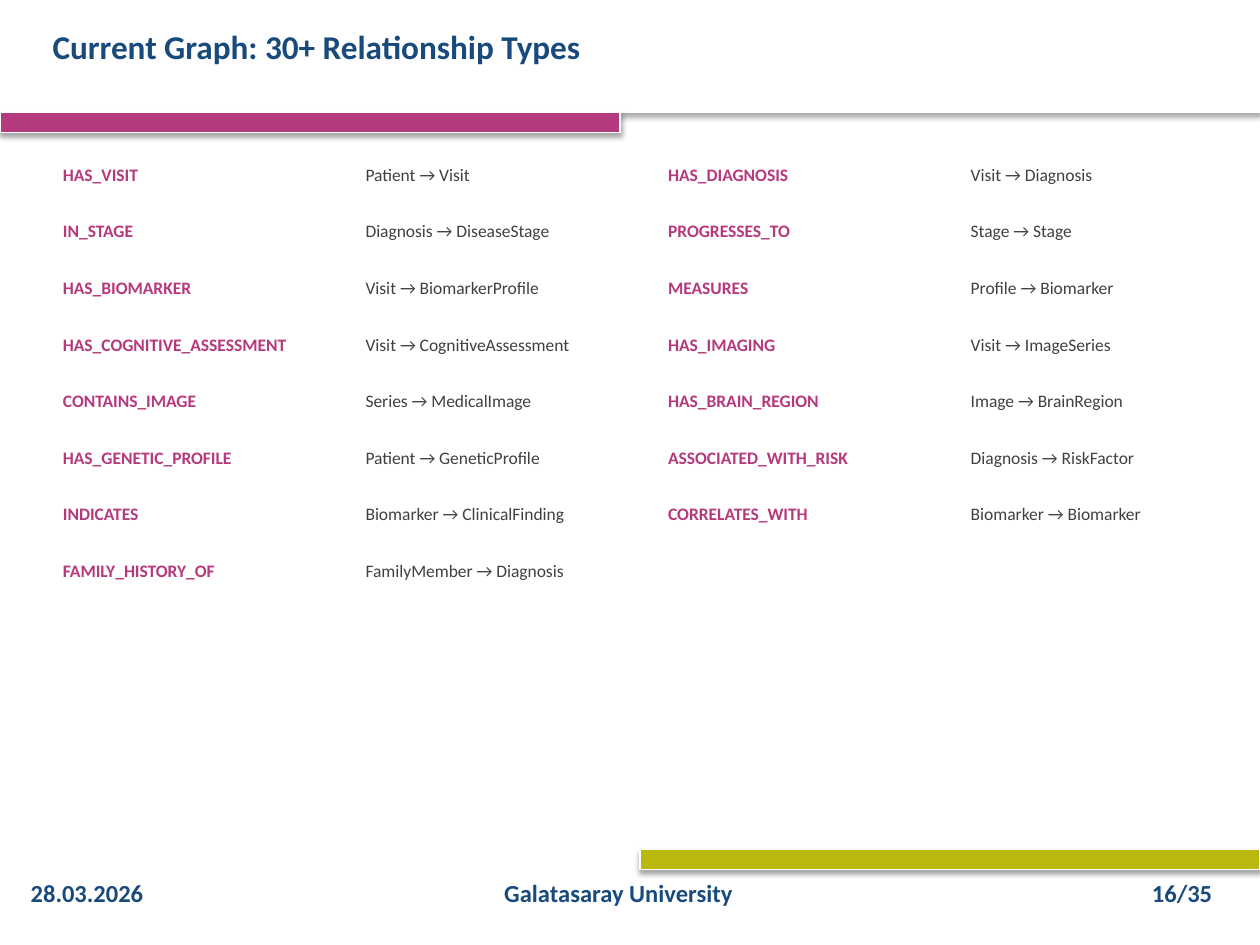
from dataclasses import dataclass

from lxml import etree
from pptx import Presentation
from pptx.dml.color import RGBColor
from pptx.enum.shapes import MSO_SHAPE
from pptx.enum.text import MSO_AUTO_SIZE, PP_ALIGN
from pptx.oxml.ns import qn
from pptx.util import Cm, Pt

RECT = MSO_SHAPE.RECTANGLE
GROW = MSO_AUTO_SIZE.SHAPE_TO_FIT_TEXT
LEFT, CENTER = PP_ALIGN.LEFT, PP_ALIGN.CENTER


@dataclass(frozen=True)
class Theme:
    font: str = "Calibri"
    white: str = "FFFFFF"
    navy: str = "184A7C"
    pink: str = "B5397D"
    olive: str = "B8B90C"
    gray: str = "404040"
    shadow: str = "000000"
    title: int = 19
    footer: int = 14
    body: int = 10


T = Theme()

prs = Presentation()
prs.slide_width, prs.slide_height = Cm(25.4), Cm(19.05)
s = prs.slides.add_slide(prs.slide_layouts[6])


def add_bar(x, y, w, h, color):
    sp = s.shapes.add_shape(RECT, Cm(x), Cm(y), Cm(w), Cm(h))
    sp.fill.solid()
    sp.fill.fore_color.rgb = RGBColor.from_string(color)
    sp.line.color.rgb = RGBColor.from_string(T.white)
    sp.line.width = Pt(0.75)
    # Soft shadow straight below the bar
    sp.shadow.inherit = False
    effects = sp.element.spPr.find(qn("a:effectLst"))
    shadow = etree.SubElement(effects, qn("a:outerShdw"), blurRad=str(Pt(3.1)),
                              dist=str(Pt(1.8)), dir="5400000", rotWithShape="0")
    clr = etree.SubElement(shadow, qn("a:srgbClr"), val=T.shadow)
    etree.SubElement(clr, qn("a:alpha"), val="35000")


def add_text(text, x, y, w, h, size, color, bold=True, align=LEFT):
    sp = s.shapes.add_textbox(Cm(x), Cm(y), Cm(w), Cm(h))
    tf = sp.text_frame
    tf.word_wrap = True
    tf.auto_size = GROW
    p = tf.paragraphs[0]
    p.alignment = align
    r = p.add_run()
    r.text = text
    r.font.name = T.font
    r.font.size = Pt(size)
    r.font.bold = bold
    r.font.color.rgb = RGBColor.from_string(color)


# Header panel and accent bars
add_bar(0, 0, 25.4, 2.26, T.white)
add_bar(0, 2.26, 12.5, 0.41, T.pink)
add_bar(12.9, 17.12, 12.5, 0.41, T.olive)

# Title
add_text("Current Graph: 30+ Relationship Types", 0.81, 0.41, 17.63, 1.22, T.title, T.navy)

# Relationship grid: two name and endpoint pairs per row
relationships = [
    ("HAS_VISIT", "Patient → Visit"),
    ("HAS_DIAGNOSIS", "Visit → Diagnosis"),
    ("IN_STAGE", "Diagnosis → DiseaseStage"),
    ("PROGRESSES_TO", "Stage → Stage"),
    ("HAS_BIOMARKER", "Visit → BiomarkerProfile"),
    ("MEASURES", "Profile → Biomarker"),
    ("HAS_COGNITIVE_ASSESSMENT", "Visit → CognitiveAssessment"),
    ("HAS_IMAGING", "Visit → ImageSeries"),
    ("CONTAINS_IMAGE", "Series → MedicalImage"),
    ("HAS_BRAIN_REGION", "Image → BrainRegion"),
    ("HAS_GENETIC_PROFILE", "Patient → GeneticProfile"),
    ("ASSOCIATED_WITH_RISK", "Diagnosis → RiskFactor"),
    ("INDICATES", "Biomarker → ClinicalFinding"),
    ("CORRELATES_WITH", "Biomarker → Biomarker"),
    ("FAMILY_HISTORY_OF", "FamilyMember → Diagnosis"),
]
col_w, col_step, row_h, row_step = 5.84, 6.1, 0.89, 1.14
for i, (name, ends) in enumerate(relationships):
    row, pair = divmod(i, 2)
    x = 1.02 + pair * 2 * col_step
    y = 3.18 + row * row_step
    add_text(name, x, y, col_w, row_h, T.body, T.pink)
    add_text(ends, x + col_step, y, col_w, row_h, T.body, T.gray, bold=False)

# Footer
for text, x, w in [("28.03.2026", 0, 3.51),
                   ("Galatasaray University", 8.89, 7.16),
                   ("16/35", 22.33, 3)]:
    add_text(text, x, 17.58, w, 1.09, T.footer, T.navy, align=CENTER)

prs.save("out.pptx")
